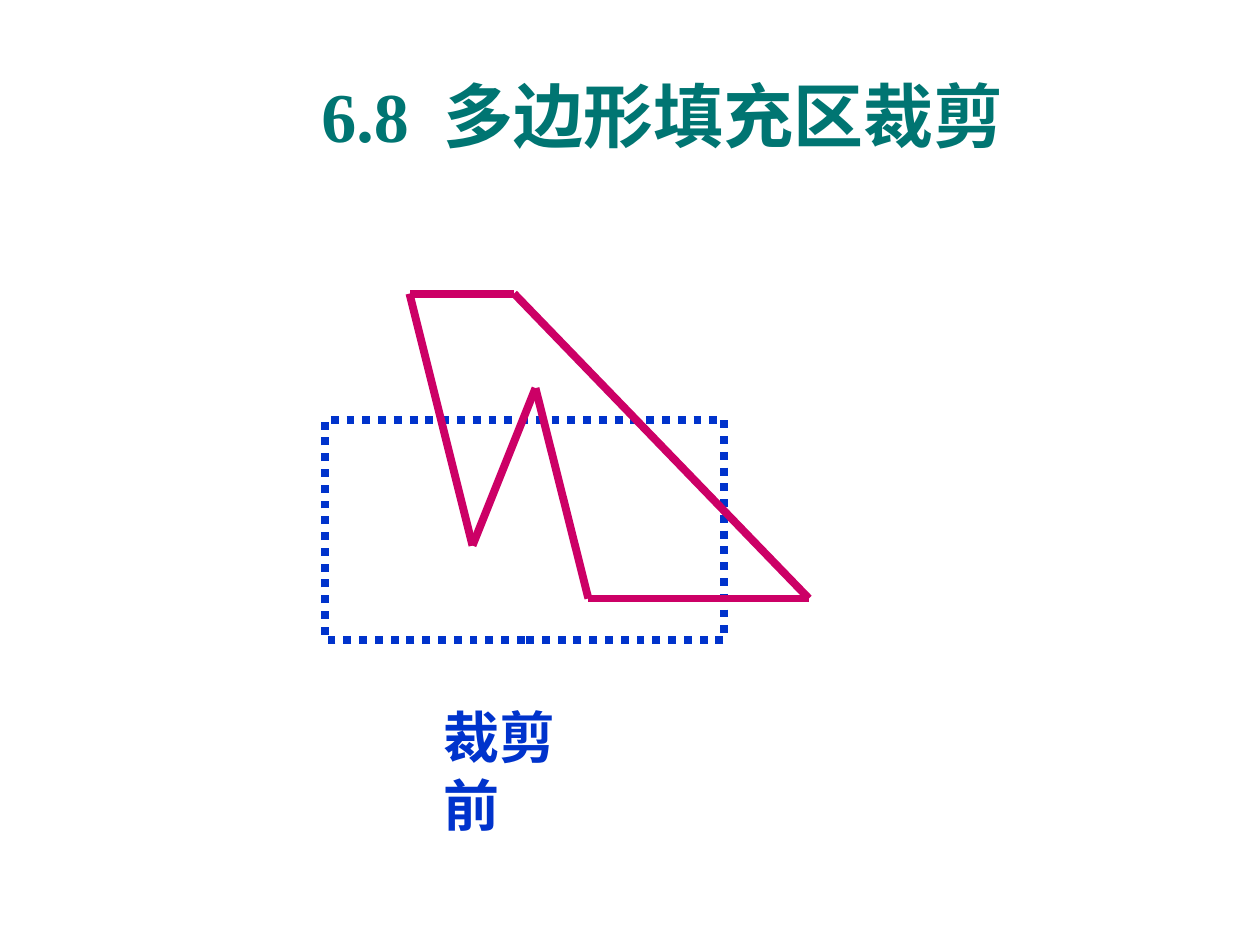
from dataclasses import dataclass
from itertools import pairwise

from lxml import etree
from pptx import Presentation
from pptx.dml.color import RGBColor
from pptx.enum.dml import MSO_LINE
from pptx.enum.shapes import MSO_CONNECTOR, MSO_SHAPE
from pptx.enum.text import MSO_ANCHOR, MSO_AUTO_SIZE, PP_ALIGN
from pptx.oxml.ns import qn
from pptx.util import Inches, Pt

STRAIGHT = MSO_CONNECTOR.STRAIGHT
RECT = MSO_SHAPE.RECTANGLE
DOTS = MSO_LINE.ROUND_DOT  # written as sysDot
MIDDLE = MSO_ANCHOR.MIDDLE
CENTER, LEFT = PP_ALIGN.CENTER, PP_ALIGN.LEFT
FIT = MSO_AUTO_SIZE.SHAPE_TO_FIT_TEXT

COLORS = {"title": "007572", "window": "0033CC", "polygon": "CC0066"}
LATIN, CJK = "Times New Roman", "Noto Sans CJK SC"
STROKE = Pt(4.5)


@dataclass
class Point:
    x: float
    y: float


# Corners of the polygon, in order around its outline
CORNERS = [
    Point(4.08, 2.33), Point(3.25, 2.33), Point(3.75, 4.33),
    Point(4.25, 3.08), Point(4.67, 4.75), Point(6.42, 4.75),
]


def color(name: str) -> RGBColor:
    return RGBColor.from_string(COLORS[name])


def add_run(para, text: str, size: float, face: str, name: str, gap: int = 0) -> None:
    """Add a bold run; gap is extra letter spacing in points."""
    run = para.add_run()
    run.text = text
    font = run.font
    font.size, font.bold, font.name = Pt(size), True, face
    font.color.rgb = color(name)
    props = run._r.get_or_add_rPr()
    etree.SubElement(props, qn("a:ea")).set("typeface", CJK)
    if gap:
        props.set("spc", str(gap * 100))


def add_edge(group, start: Point, end: Point) -> None:
    edge = group.shapes.add_connector(
        STRAIGHT, Inches(start.x), Inches(start.y), Inches(end.x), Inches(end.y))
    edge.line.color.rgb = color("polygon")
    edge.line.width = STROKE
    etree.SubElement(edge._element.spPr, qn("a:effectLst"))


def main() -> None:
    deck = Presentation()
    deck.slide_width, deck.slide_height = Inches(10), Inches(7.5)
    slide = deck.slides.add_slide(deck.slide_layouts[5])

    # Title
    title = slide.shapes.title
    title.left, title.top = Inches(1.06), Inches(0.52)
    title.width, title.height = Inches(8.52), Inches(0.77)
    frame = title.text_frame
    frame.vertical_anchor, frame.auto_size = MIDDLE, FIT
    para = frame.paragraphs[0]
    para.alignment = CENTER
    add_run(para, "6.8", 40, LATIN, "title")
    add_run(para, " ", 40, LATIN, "title", gap=10)
    add_run(para, "多边形填充区裁剪 ", 40, LATIN, "title")

    # Clipping window
    window = slide.shapes.add_shape(
        RECT, Inches(2.58), Inches(3.33), Inches(3.17), Inches(1.75))
    window.shadow.inherit = False
    window.fill.background()
    window.line.color.rgb = color("window")
    window.line.width = STROKE
    window.line.dash_style = DOTS

    # Polygon to be clipped
    group = slide.shapes.add_group_shape()
    for start, end in pairwise(CORNERS + CORNERS[:1]):
        add_edge(group, start, end)

    # Caption
    label = slide.shapes.add_textbox(
        Inches(3.42), Inches(5.53), Inches(1.53), Inches(0.64))
    frame = label.text_frame
    frame.word_wrap, frame.auto_size = False, FIT
    para = frame.paragraphs[0]
    para.alignment = LEFT
    add_run(para, "裁剪前", 32, CJK, "window")

    deck.save("out.pptx")


if __name__ == "__main__":
    main()
